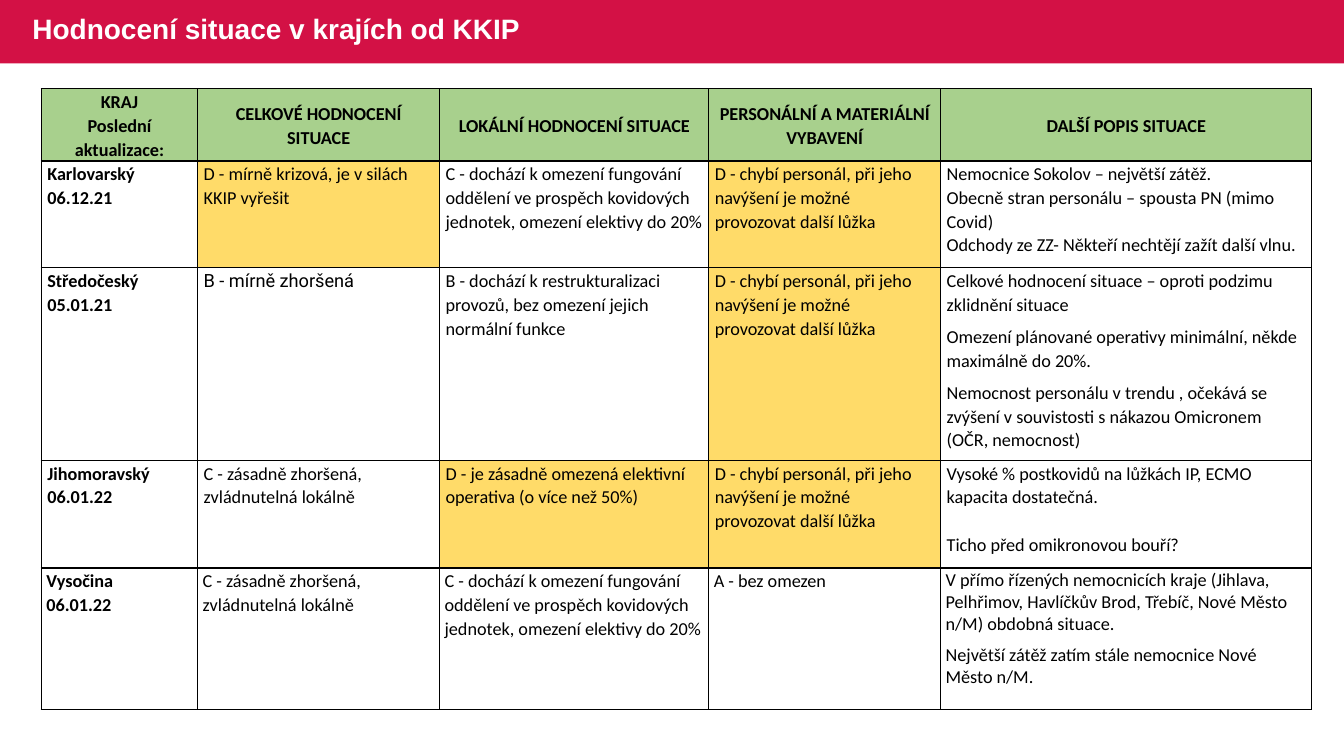
from lxml import etree
from pptx import Presentation
from pptx.dml.color import RGBColor
from pptx.enum.shapes import MSO_SHAPE
from pptx.enum.text import MSO_ANCHOR, PP_ALIGN
from pptx.oxml.ns import qn
from pptx.util import Inches, Pt

RECTANGLE = MSO_SHAPE.RECTANGLE
TOP, MIDDLE = MSO_ANCHOR.TOP, MSO_ANCHOR.MIDDLE
LEFT, CENTER = PP_ALIGN.LEFT, PP_ALIGN.CENTER

CRIMSON = RGBColor(0xD3, 0x11, 0x45)
GREEN = RGBColor(0xA8, 0xD0, 0x8D)
AMBER = RGBColor(0xFF, 0xDB, 0x69)
WHITE = RGBColor(0xFF, 0xFF, 0xFF)
BLACK = RGBColor(0, 0, 0)

TITLE = "Hodnocení situace v krajích od KKIP"
HEADINGS = [
    ["KRAJ", "Poslední aktualizace:"],
    ["CELKOVÉ HODNOCENÍ SITUACE"],
    ["LOKÁLNÍ HODNOCENÍ SITUACE"],
    ["PERSONÁLNÍ A MATERIÁLNÍ VYBAVENÍ"],
    ["DALŠÍ POPIS SITUACE"],
]
WORSENED = "C - zásadně zhoršená, zvládnutelná lokálně"
RESTRICTED = ("C - dochází k omezení fungování oddělení ve prospěch kovidových "
              "jednotek, omezení elektivy do 20%")
UNDERSTAFFED = ("D - chybí personál, při jeho navýšení je možné "
                "provozovat další lůžka")
REGIONS = [
    [["Karlovarský", "06.12.21"],
     ["D - mírně krizová, je v silách KKIP vyřešit"],
     [RESTRICTED],
     [UNDERSTAFFED],
     ["Nemocnice Sokolov – největší zátěž.",
      "Obecně stran personálu – spousta PN (mimo Covid)",
      "Odchody ze ZZ- Někteří nechtějí zažít další vlnu."]],
    [["Středočeský", "05.01.21"],
     ["B - mírně zhoršená"],
     ["B - dochází k restrukturalizaci provozů, bez omezení jejich normální funkce"],
     [UNDERSTAFFED],
     ["Celkové hodnocení situace – oproti podzimu zklidnění situace",
      "Omezení plánované operativy minimální, někde maximálně do 20%.",
      "Nemocnost personálu v trendu , očekává se zvýšení v souvistosti "
      "s nákazou Omicronem (OČR, nemocnost)"]],
    [["Jihomoravský", "06.01.22"],
     [WORSENED],
     ["D - je zásadně omezená elektivní operativa (o více než 50%)"],
     [UNDERSTAFFED],
     ["Vysoké % postkovidů na lůžkách IP, ECMO kapacita dostatečná.",
      "Ticho před omikronovou bouří?"]],
    [["Vysočina", "06.01.22"],
     [WORSENED],
     [RESTRICTED],
     ["A - bez omezen"],
     ["V přímo řízených nemocnicích kraje (Jihlava, Pelhřimov, Havlíčkův Brod, "
      "Třebíč, Nové Město n/M) obdobná situace.",
      "Největší zátěž zatím stále nemocnice Nové Město n/M."]],
]
COLUMN_WIDTHS = [1.55, 2.4, 2.67, 2.3, 3.68]
ROW_HEIGHTS = [0.69, 1.06, 1.91, 1.07, 1.4]
DESCRIPTION_GAPS = [0, 0, 6, 17, 6]
DESCRIPTION_SPACING = [1.07, 1.07, 1.07, 1.07, 1.0]
ROBOTO_CELL = (2, 1)


def add_run(paragraph, text, font_name, size, color, bold):
    run = paragraph.add_run()
    run.text = text
    run.font.name = font_name
    run.font.size = Pt(size)
    run.font.color.rgb = color
    run.font.bold = bold


def add_borders(cell):
    properties = cell._tc.get_or_add_tcPr()
    for side in ("lnL", "lnR", "lnT", "lnB"):
        line = etree.SubElement(properties, qn(f"a:{side}"), w=str(Pt(1)))
        fill = etree.SubElement(line, qn("a:solidFill"))
        etree.SubElement(fill, qn("a:srgbClr"), val=str(BLACK))


def fill_cell(cell, row, column, texts):
    heading = row == 0
    description = column == len(COLUMN_WIDTHS) - 1
    add_borders(cell)
    cell.fill.solid()
    if heading:
        cell.fill.fore_color.rgb = GREEN
    else:
        cell.fill.fore_color.rgb = AMBER if texts[0].startswith("D - ") else WHITE
    cell.margin_left = cell.margin_right = Inches(0.06 if row < 4 else 0.05)
    cell.margin_top, cell.margin_bottom = Inches(0.01), 0
    cell.vertical_anchor = MIDDLE if heading else TOP
    font_name = "Roboto" if (row, column) == ROBOTO_CELL else "Calibri"
    for index, text in enumerate(texts):
        frame = cell.text_frame
        paragraph = frame.add_paragraph() if index else frame.paragraphs[0]
        paragraph.alignment = CENTER if heading else LEFT
        paragraph.line_spacing = DESCRIPTION_SPACING[row] if description else 1.07
        if description and index:
            paragraph.space_before = Pt(DESCRIPTION_GAPS[row])
        add_run(paragraph, text, font_name, 13, BLACK, heading or column == 0)


def main():
    presentation = Presentation()
    presentation.slide_width = Inches(13.33)
    presentation.slide_height = Inches(7.5)
    slide = presentation.slides.add_slide(presentation.slide_layouts[5])

    band = slide.shapes.add_shape(RECTANGLE, 0, 0, Inches(13.33), Inches(0.63))
    band.shadow.inherit = False
    band.fill.solid()
    band.fill.fore_color.rgb = CRIMSON
    band.line.fill.background()
    slide.shapes._spTree.insert(2, band._element)

    title = slide.shapes.title
    title.left, title.top = Inches(0.22), Inches(-0.01)
    title.width, title.height = Inches(8.14), Inches(0.63)
    title.text_frame.word_wrap = True
    title.text_frame.vertical_anchor = MIDDLE
    heading = title.text_frame.paragraphs[0]
    heading.alignment = LEFT
    heading.line_spacing = 0.9
    add_run(heading, TITLE, "Arial", 20, WHITE, True)

    assessment = slide.shapes.add_table(
        len(ROW_HEIGHTS), len(COLUMN_WIDTHS), Inches(0.41), Inches(0.88),
        Inches(sum(COLUMN_WIDTHS)), Inches(sum(ROW_HEIGHTS))).table
    assessment.first_row = assessment.horz_banding = False
    for column, width in zip(assessment.columns, COLUMN_WIDTHS):
        column.width = Inches(width)
    for row, height in zip(assessment.rows, ROW_HEIGHTS):
        row.height = Inches(height)
    for row, region in enumerate([HEADINGS] + REGIONS):
        for column, texts in enumerate(region):
            fill_cell(assessment.cell(row, column), row, column, texts)

    presentation.save("out.pptx")


if __name__ == "__main__":
    main()
